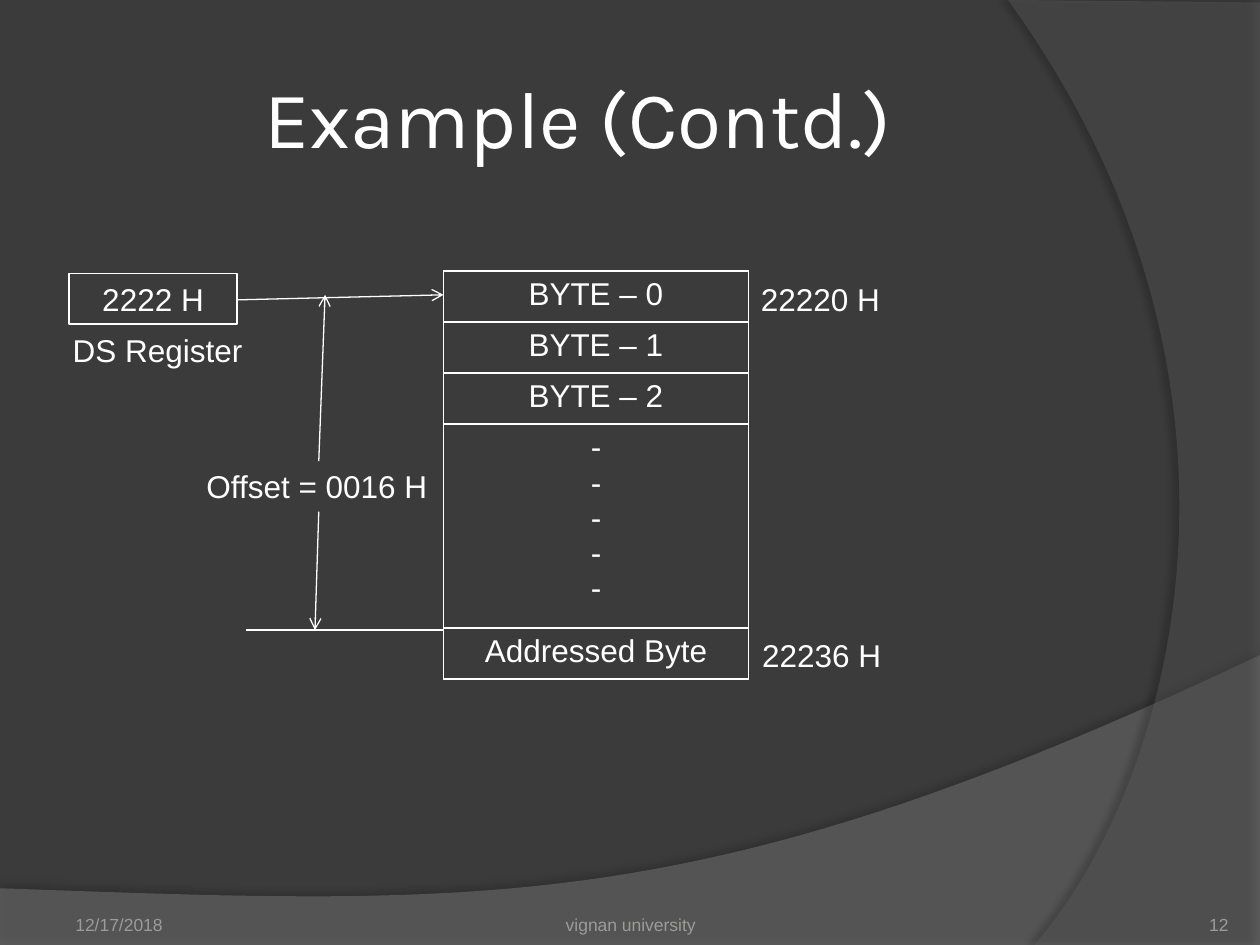
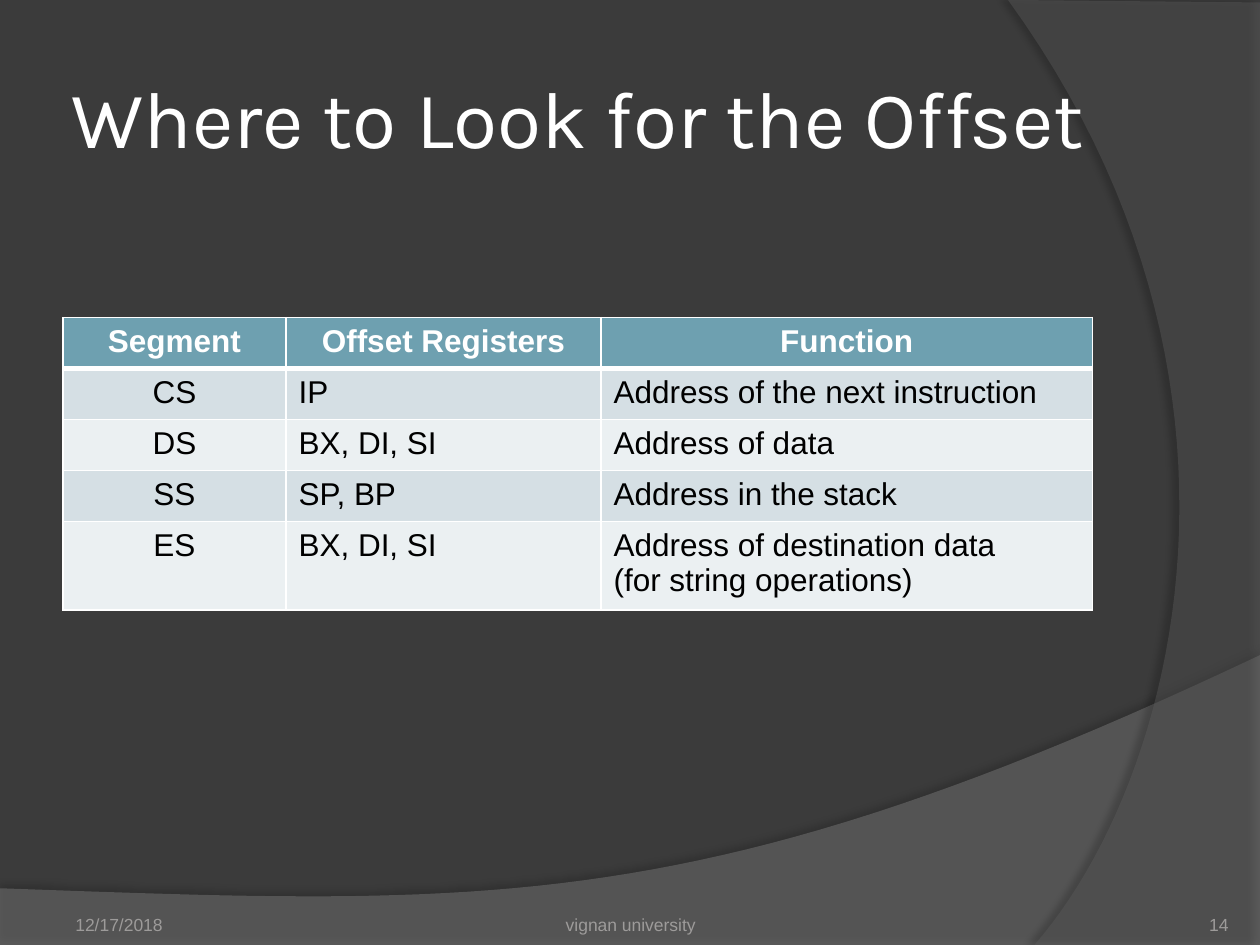
import pptx
import pptx.dml.color
import pptx.enum.shapes
import pptx.enum.text
import pptx.oxml
import pptx.oxml.ns
import pptx.util

Inches, Pt = pptx.util.Inches, pptx.util.Pt
RGB = pptx.dml.color.RGBColor
ALIGN = pptx.enum.text.PP_ALIGN
ANCHOR = pptx.enum.text.MSO_ANCHOR
AUTO_SIZE = pptx.enum.text.MSO_AUTO_SIZE

# Shared colours and text formats
BACKDROP = RGB(0x3B, 0x3B, 0x3B)
LOWER_BAND = RGB(0x7F, 0x7F, 0x7F)
SIDE_BAND = RGB(0x5E, 0x5E, 0x5E)
WHITE = RGB(0xFF, 0xFF, 0xFF)
BLACK = RGB(0, 0, 0)
FOOTER_GREY = RGB(0x9D, 0x9B, 0x9A)
HEADER_TEAL = RGB(0x6E, 0xA0, 0xB0)
ROW_FILLS = (RGB(0xD5, 0xDF, 0xE4), RGB(0xEB, 0xF0, 0xF2))

TITLE_FONT = {"name": "Karla", "size": Pt(46)}
BODY_FONT = {"name": "Arial", "size": Pt(18)}
HEADER_FONT = {**BODY_FONT, "bold": True}
FOOTER_FONT = {"name": "Arial", "size": Pt(10)}

ROW_HEIGHT = 0.405


def xml(tag, inner="", **attributes):
    """Make one DrawingML element."""
    values = "".join(f' {key}="{value}"' for key, value in attributes.items())
    return pptx.oxml.parse_xml(
        f'<a:{tag} {pptx.oxml.ns.nsdecls("a")}{values}>{inner}</a:{tag}>')


def set_all(target, values):
    for key, value in values.items():
        setattr(target, key, value)


def write(frame, text, font, color, align=ALIGN.LEFT):
    """Fill a text frame, one paragraph per line of text."""
    frame.text = text
    for paragraph in frame.paragraphs:
        paragraph.alignment = align
        set_all(paragraph.font, font)
        paragraph.font.color.rgb = color


def place(shape, left, top, width, height):
    set_all(shape, {"left": Inches(left), "top": Inches(top),
                    "width": Inches(width), "height": Inches(height)})


# Background bands, kept on the master
def curve(start, control_1, control_2, end, steps=48):
    """Points of a cubic curve, without its start."""
    points = []
    for step in range(1, steps + 1):
        t = step / steps
        u = 1 - t
        points.append(tuple(
            u**3 * a + 3 * u * u * t * b + 3 * u * t * t * c + t**3 * d
            for a, b, c, d in zip(start, control_1, control_2, end)))
    return points


def add_band(slide, master, points, color, opacity, shadow):
    corners = [(Inches(x), Inches(y)) for x, y in points]
    builder = slide.shapes.build_freeform(*corners[0])
    builder.add_line_segments(corners[1:], close=True)
    band = builder.convert_to_shape()
    band.fill.solid()
    band.fill.fore_color.rgb = color
    band.line.fill.background()
    band.shadow.inherit = False
    properties = band.element.spPr
    properties.find(".//" + pptx.oxml.ns.qn("a:srgbClr")).append(
        xml("alpha", val=opacity * 1000))
    shade, blur, distance, angle = shadow
    properties.find(pptx.oxml.ns.qn("a:effectLst")).append(xml(
        "outerShdw",
        f'<a:srgbClr val="000000"><a:alpha val="{shade * 1000}"/></a:srgbClr>',
        blurRad=Pt(blur), dist=Pt(distance), dir=angle * 60000,
        algn="ctr", rotWithShape=0))
    master.shapes.element.append(band.element)


def dress_master(slide, master):
    master.background.fill.solid()
    master.background.fill.fore_color.rgb = BACKDROP
    lower = [(0, 7.05), (0, 7.5), (10, 7.5), (10, 5.2)]
    lower += curve((10, 5.2), (5.59, 7.29), (3.91, 7.19), (0, 7.05))
    add_band(slide, master, lower, LOWER_BAND, 45, (35, 4, 3.5, 270))
    side = [(10, 0.02), (10, 7.5), (8.21, 7.5)]
    side += curve((8.21, 7.5), (9.35, 6.19), (10.18, 3), (8, 0))
    add_band(slide, master, side, SIDE_BAND, 40, (45, 4, 4, 180))


# Title and footer of every slide
def add_footer(slide, text, left, width, align, side_inset=0):
    footer = slide.shapes.add_textbox(
        Inches(left), Inches(7.02), Inches(width), Inches(0.4))
    set_all(footer.text_frame, {
        "word_wrap": True, "vertical_anchor": ANCHOR.BOTTOM,
        "margin_left": Inches(side_inset), "margin_right": Inches(side_inset),
        "margin_bottom": 0})
    write(footer.text_frame, text, FOOTER_FONT, FOOTER_GREY, align)


def start_slide(deck, title, number):
    slide = deck.slides.add_slide(deck.slide_layouts.get_by_name("Title Only"))
    heading = slide.shapes.title
    place(heading, 0.5, 0.3, 8.17, 1.25)
    inset = Inches(0.05)
    set_all(heading.text_frame, {
        "word_wrap": True, "auto_size": AUTO_SIZE.NONE,
        "vertical_anchor": ANCHOR.MIDDLE,
        "margin_left": inset, "margin_right": inset,
        "margin_top": inset, "margin_bottom": inset})
    write(heading.text_frame, title, TITLE_FONT, WHITE, ALIGN.CENTER)
    add_footer(slide, "12/17/2018", 0.5, 2.33, ALIGN.LEFT, 0.1)
    add_footer(slide, "vignan university", 3.42, 3.17, ALIGN.CENTER)
    add_footer(slide, str(number), 8.92, 0.83, ALIGN.RIGHT)
    return slide


# Diagram parts
def add_label(slide, text, left, top, width, align=ALIGN.LEFT):
    label = slide.shapes.add_textbox(
        Inches(left), Inches(top), Inches(width), Inches(0.4))
    set_all(label.text_frame, {
        "word_wrap": False, "auto_size": AUTO_SIZE.SHAPE_TO_FIT_TEXT})
    write(label.text_frame, text, BODY_FONT, WHITE, align)


def add_register(slide, text, left, top, width, height):
    register = slide.shapes.add_shape(
        pptx.enum.shapes.MSO_SHAPE.RECTANGLE,
        Inches(left), Inches(top), Inches(width), Inches(height))
    register.shadow.inherit = False
    register.fill.background()
    register.line.color.rgb = WHITE
    register.line.width = Pt(1)
    write(register.text_frame, text, BODY_FONT, WHITE, ALIGN.CENTER)


def add_line(slide, start, end, arrow=True):
    line = slide.shapes.add_connector(
        pptx.enum.shapes.MSO_CONNECTOR.STRAIGHT,
        *(Inches(value) for value in start + end))
    line.line.color.rgb = WHITE
    line.line.width = Pt(0.75)
    if arrow:
        line.line._get_or_add_ln().append(xml("tailEnd", type="arrow"))
    line.element.spPr.append(xml("effectLst"))


# Tables
def add_grid(slide, left, top, widths, heights):
    frame = slide.shapes.add_table(
        len(heights), len(widths), Inches(left), Inches(top),
        Inches(sum(widths)), Inches(sum(heights)))
    grid = frame.table
    set_all(grid, {"first_row": False, "horz_banding": False})
    for column, width in zip(grid.columns, widths):
        column.width = Inches(width)
    for row, height in zip(grid.rows, heights):
        row.height = Inches(height)
    return grid


def border_cell(cell, top=1, bottom=1):
    sides = {"lnL": 1, "lnR": 1, "lnT": top, "lnB": bottom}
    for side, width in sides.items():
        cell._tc.get_or_add_tcPr().append(xml(
            side, f'<a:solidFill><a:srgbClr val="{WHITE}"/></a:solidFill>',
            w=Pt(width)))


def add_memory(slide):
    contents = ["BYTE – 0", "BYTE – 1", "BYTE – 2",
                "\n".join("-" * 5), "Addressed Byte"]
    heights = [4 * ROW_HEIGHT if "\n" in text else ROW_HEIGHT
               for text in contents]
    memory = add_grid(slide, 3.52, 2.15, [2.42], heights)
    for cell, text in zip(memory.iter_cells(), contents):
        border_cell(cell)
        cell.fill.background()
        write(cell.text_frame, text, BODY_FONT, WHITE, ALIGN.CENTER)


def add_offset_table(slide):
    rows = [
        ("Segment", "Offset Registers", "Function"),
        ("CS", "IP", "Address of the next instruction"),
        ("DS", "BX, DI, SI", "Address of data"),
        ("SS", "SP, BP", "Address in the stack"),
        ("ES", "BX, DI, SI",
         "Address of destination data\n(for string operations)"),
    ]
    offsets = add_grid(slide, 0.5, 2.52, [1.77, 2.5, 3.9],
                       [ROW_HEIGHT] * 4 + [0.7])
    for r, row in enumerate(rows):
        header = r == 0
        for c, text in enumerate(row):
            cell = offsets.cell(r, c)
            border_cell(cell, top=3 if r == 1 else 1, bottom=3 if header else 1)
            cell.fill.solid()
            cell.fill.fore_color.rgb = (
                HEADER_TEAL if header else ROW_FILLS[(r - 1) % 2])
            write(cell.text_frame, text,
                  HEADER_FONT if header else BODY_FONT,
                  WHITE if header else BLACK,
                  ALIGN.CENTER if header or c == 0 else ALIGN.LEFT)


# Slides
def build_example(slide):
    add_memory(slide)
    add_register(slide, "2222 H", 0.55, 2.17, 1.33, 0.4)
    add_label(slide, "DS Register", 0.47, 2.58, 1.56, ALIGN.CENTER)
    add_label(slide, "22220 H", 5.94, 2.17, 1.16)
    add_label(slide, "22236 H", 5.95, 5, 1.16)
    add_label(slide, "Offset = 0016 H", 1.54, 3.66, 1.97)
    add_line(slide, (1.88, 2.38), (3.52, 2.34))
    add_line(slide, (2.53, 3.66), (2.58, 2.34))
    add_line(slide, (2.53, 4.06), (2.5, 5))
    add_line(slide, (3.52, 5), (1.95, 5), arrow=False)


def main():
    deck = pptx.Presentation()
    deck.slide_width, deck.slide_height = Inches(10), Inches(7.5)
    example = start_slide(deck, "Example (Contd.)", 12)
    dress_master(example, deck.slide_master)
    build_example(example)
    add_offset_table(start_slide(deck, "Where to Look for the Offset", 14))
    deck.save("out.pptx")


if __name__ == "__main__":
    main()
